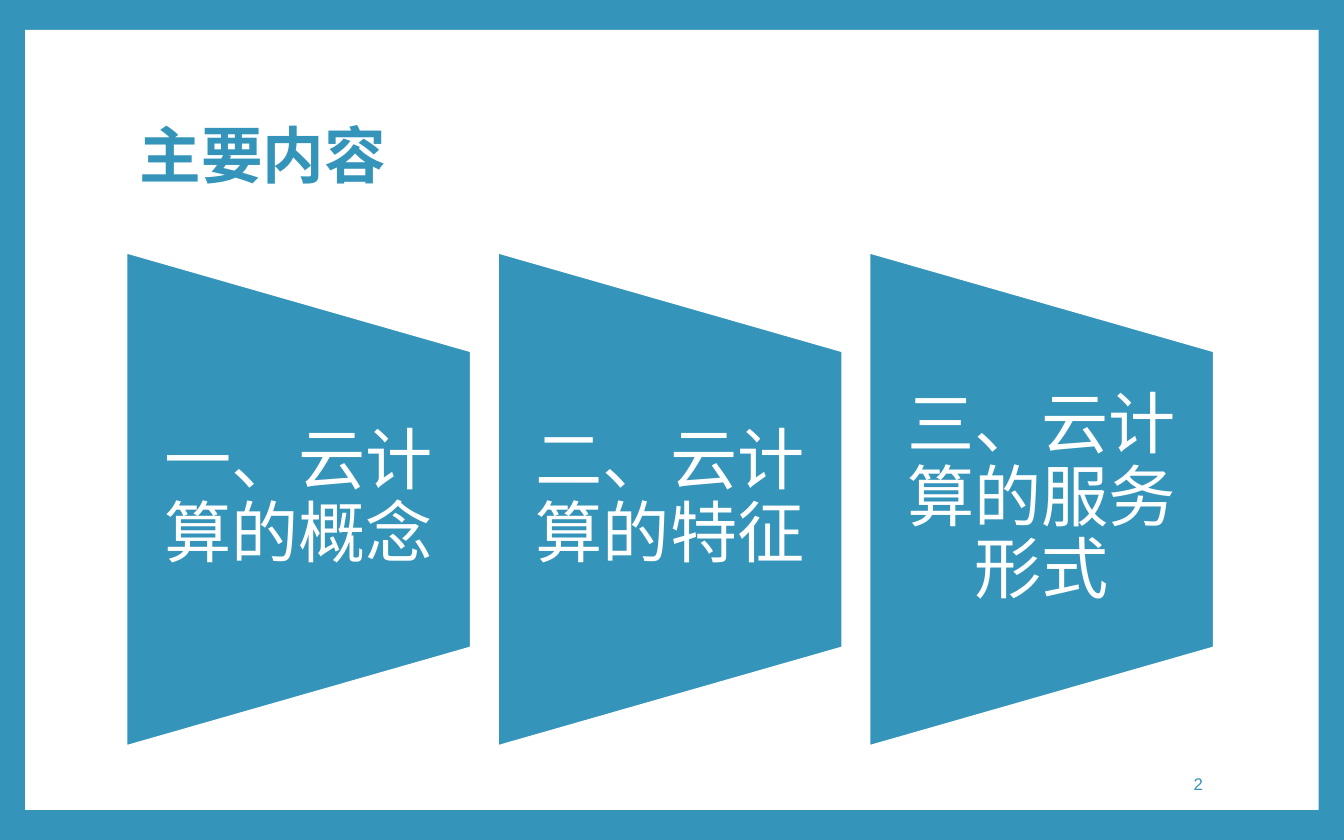
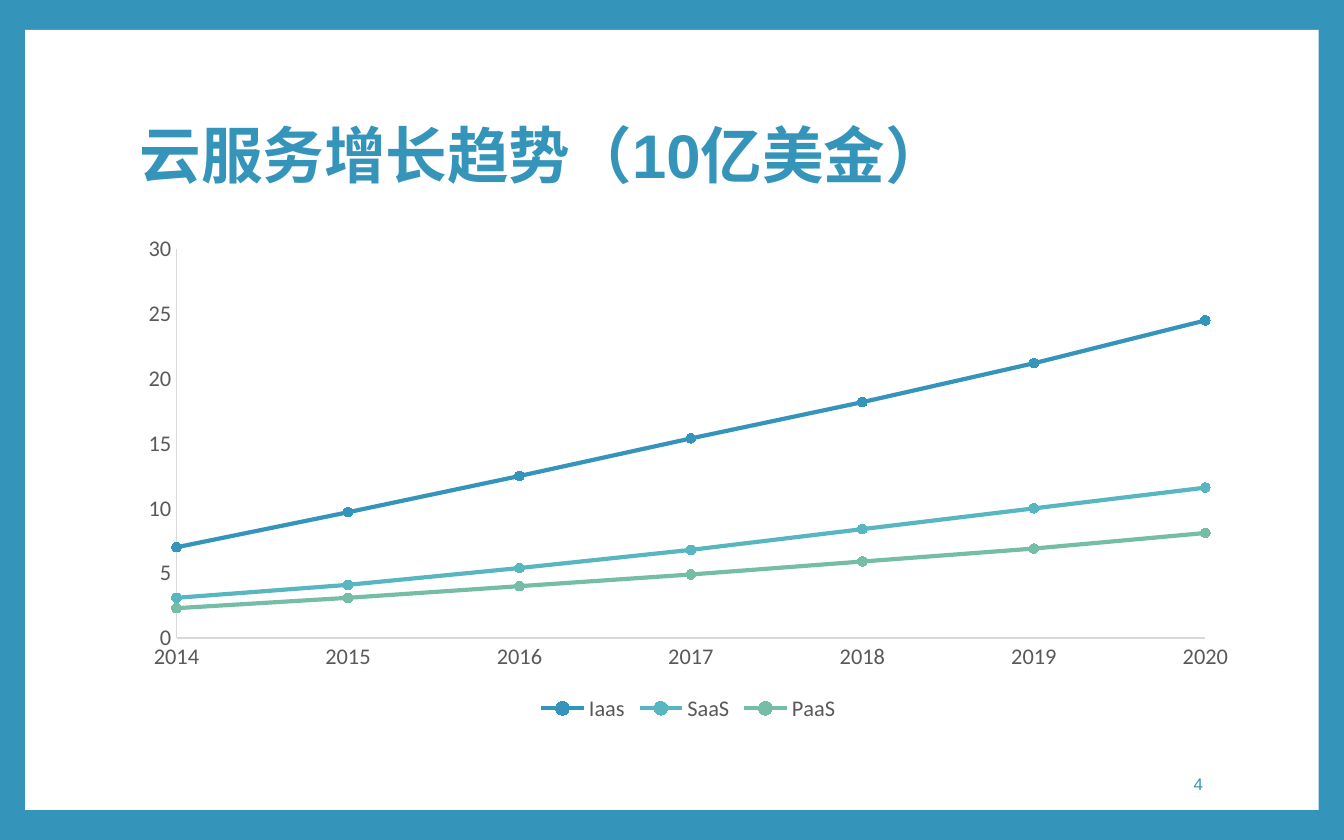
import lxml.etree
import pptx
import pptx.chart.data
import pptx.dml.color
import pptx.enum.chart
import pptx.enum.shapes
import pptx.enum.text
import pptx.oxml.ns
import pptx.util

Pt = pptx.util.Pt
ALIGN = pptx.enum.text.PP_ALIGN

# Content
TOPICS = {
    "page": "2",
    "title": "主要内容",
    "items": ["一、云计算的概念", "二、云计算的特征", "三、云计算的服务形式"],
}
GROWTH = {
    "page": "4",
    "title": "云服务增长趋势（10亿美金）",
    "years": ["2014", "2015", "2016", "2017", "2018", "2019", "2020"],
    "services": [
        ("Iaas", "blue", [7, 9.7, 12.5, 15.4, 18.2, 21.2, 24.5]),
        ("SaaS", "teal", [3.1, 4.1, 5.4, 6.8, 8.4, 10, 11.6]),
        ("PaaS", "green", [2.3, 3.1, 4, 4.9, 5.9, 6.9, 8.1]),
    ],
}

# Shared style
COLORS = {
    "blue": "3494BA",
    "teal": "58B6C0",
    "green": "75BDA7",
    "white": "FFFFFF",
    "label": "595959",
    "axis": "D9D9D9",
}
HEADING_FONT, BODY_FONT = "Arial", "Calibri"
SLIDE_W, SLIDE_H = 720, 450
MARGIN_X, MARGIN_Y = 13.5, 16
LEFT = 67.5


def rgb(name):
    return pptx.dml.color.RGBColor.from_string(COLORS[name])


def set_font(font, name, size, color, bold=False):
    font.name, font.size, font.bold = name, Pt(size), bold
    font.color.rgb = rgb(color)


def points(*lengths):
    return [Pt(length) for length in lengths]


def set_frame(frame, text, align, inset_x=7.2, inset_y=3.6):
    frame.word_wrap = True
    frame.auto_size = pptx.enum.text.MSO_AUTO_SIZE.NONE
    frame.vertical_anchor = pptx.enum.text.MSO_ANCHOR.MIDDLE
    frame.margin_left = frame.margin_right = Pt(inset_x)
    frame.margin_top = frame.margin_bottom = Pt(inset_y)
    paragraph = frame.paragraphs[0]
    paragraph.text = text
    paragraph.alignment = align
    return paragraph


def add_filled(slide, kind, box, fill):
    shape = slide.shapes.add_shape(kind, *points(*box))
    shape.shadow.inherit = False
    shape.fill.solid()
    shape.fill.fore_color.rgb = rgb(fill)
    shape.line.fill.background()
    return shape


def add_framed_slide(prs, content):
    slide = prs.slides.add_slide(prs.slide_layouts[5])

    # White panel behind everything
    panel = add_filled(
        slide, pptx.enum.shapes.MSO_SHAPE.RECTANGLE,
        (MARGIN_X, MARGIN_Y, SLIDE_W - 2 * MARGIN_X, SLIDE_H - 2 * MARGIN_Y),
        "white")
    slide.shapes.title.element.addprevious(panel.element)

    # Title
    title = slide.shapes.title
    title.left, title.top, title.width, title.height = points(LEFT, 40.5, 583, 89)
    heading = set_frame(title.text_frame, content["title"], ALIGN.LEFT)
    heading.line_spacing = 0.9
    set_font(heading.font, HEADING_FONT, 33, "blue", bold=True)

    # Page number
    page_box = slide.shapes.add_textbox(*points(551, 408, 100.5, 24))
    page = set_frame(page_box.text_frame, content["page"], ALIGN.RIGHT)
    set_font(page.font, HEADING_FONT, 9, "blue")
    return slide


def build_topics(prs):
    slide = add_framed_slide(prs, TOPICS)
    width, height, pitch, middle = 185, 265, 199, 267.5
    label_height = 159
    for index, item in enumerate(TOPICS["items"]):
        left = LEFT + index * pitch
        # Quarter turn: the unrotated box swaps width and height
        panel = add_filled(
            slide, pptx.enum.shapes.MSO_SHAPE.FLOWCHART_MANUAL_OPERATION,
            (left + (width - height) / 2, middle - width / 2, height, width),
            "blue")
        panel.rotation = 270
        panel.line.color.rgb = rgb("white")
        panel.line.width = Pt(1.5)

        label_box = slide.shapes.add_textbox(
            *points(left, middle - label_height / 2, width, label_height))
        label = set_frame(label_box.text_frame, item, ALIGN.CENTER, 18, 0)
        label.line_spacing = 0.9
        set_font(label.font, BODY_FONT, 36, "white")


def start_lines_on_axis(value_axis):
    qn = pptx.oxml.ns.qn
    crossing = value_axis._element.find(qn("c:crossBetween"))
    if crossing is None:
        crossing = lxml.etree.Element(qn("c:crossBetween"))
        value_axis._element.find(qn("c:crosses")).addnext(crossing)
    crossing.set("val", "midCat")


def build_growth(prs):
    slide = add_framed_slide(prs, GROWTH)
    data = pptx.chart.data.CategoryChartData()
    data.categories = GROWTH["years"]
    for name, _, values in GROWTH["services"]:
        data.add_series(name, values)
    chart = slide.shapes.add_chart(
        pptx.enum.chart.XL_CHART_TYPE.LINE_MARKERS,
        *points(LEFT, 121, 602.5, 268.5), data).chart
    chart.has_title = False
    set_font(chart.font, BODY_FONT, 12, "label")

    # Legend
    chart.has_legend = True
    chart.legend.position = pptx.enum.chart.XL_LEGEND_POSITION.BOTTOM
    chart.legend.include_in_layout = False
    set_font(chart.legend.font, BODY_FONT, 12, "label")

    # Axes
    for axis in (chart.category_axis, chart.value_axis):
        axis.has_major_gridlines = False
        axis.major_tick_mark = pptx.enum.chart.XL_TICK_MARK.NONE
        axis.minor_tick_mark = pptx.enum.chart.XL_TICK_MARK.NONE
        axis.format.line.color.rgb = rgb("axis")
        axis.format.line.width = Pt(0.75)
        set_font(axis.tick_labels.font, BODY_FONT, 12, "label")
    value_axis = chart.value_axis
    value_axis.minimum_scale, value_axis.maximum_scale = 0, 30
    value_axis.major_unit = 5
    start_lines_on_axis(value_axis)

    # Service lines
    plot = chart.plots[0]
    plot.vary_by_categories = False
    for service, (_, color, _) in zip(plot.series, GROWTH["services"]):
        service.smooth = False
        service.format.line.color.rgb = rgb(color)
        service.format.line.width = Pt(2.25)
        marker = service.marker
        marker.style = pptx.enum.chart.XL_MARKER_STYLE.CIRCLE
        marker.size = 5
        marker.format.fill.solid()
        marker.format.fill.fore_color.rgb = rgb(color)
        marker.format.line.color.rgb = rgb(color)


def main():
    prs = pptx.Presentation()
    prs.slide_width, prs.slide_height = points(SLIDE_W, SLIDE_H)
    backdrop = prs.slide_master.background.fill
    backdrop.solid()
    backdrop.fore_color.rgb = rgb("blue")
    build_topics(prs)
    build_growth(prs)
    prs.save("out.pptx")


if __name__ == "__main__":
    main()
